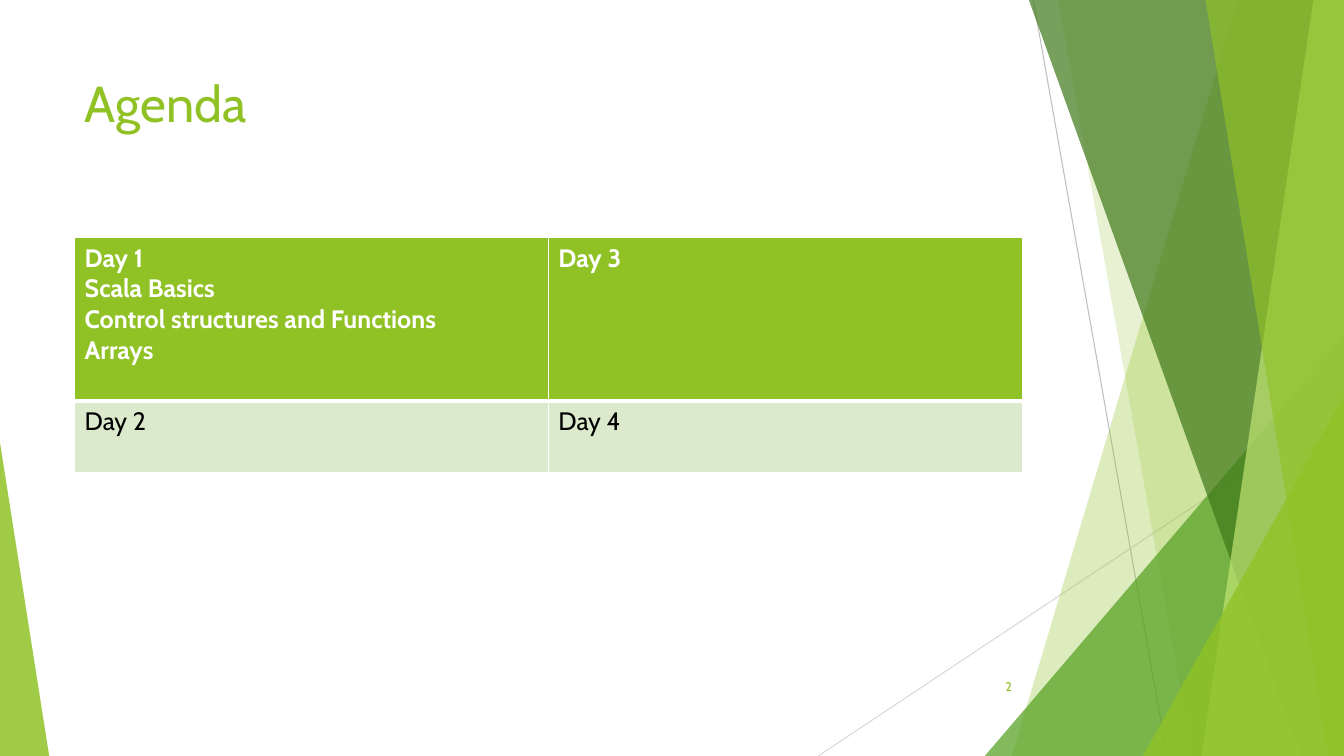
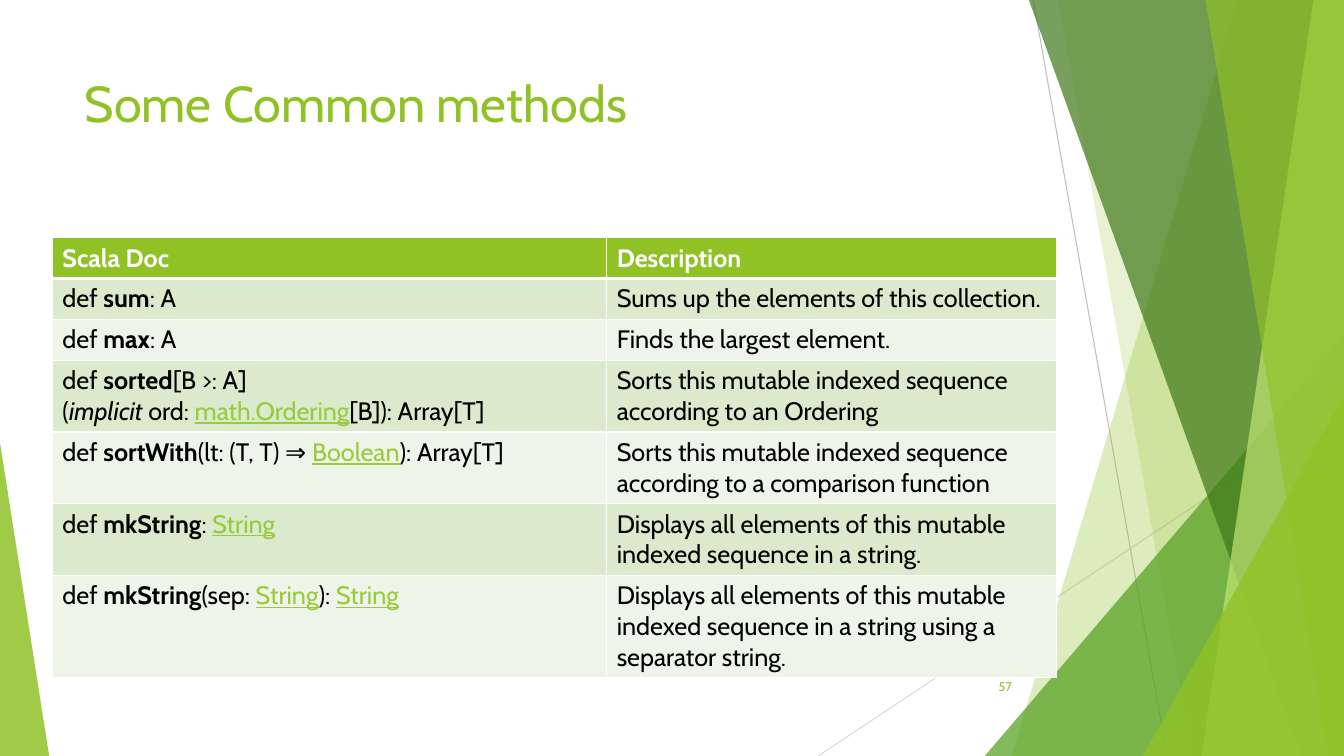
from dataclasses import dataclass

from lxml.etree import SubElement
from pptx import Presentation
from pptx.dml.color import RGBColor as Rgb
from pptx.enum.shapes import MSO_CONNECTOR as Connector, MSO_SHAPE as Preset
from pptx.enum.text import MSO_ANCHOR as Anchor, PP_ALIGN as Align
from pptx.oxml import parse_xml
from pptx.oxml.ns import nsdecls, qn
from pptx.util import Cm, Pt


@dataclass(frozen=True)
class Theme:
    font: str = "Cabin"
    lime: str = "90C226"
    green: str = "54A021"
    forest: str = "3F7819"
    pale_lime: str = "C0E474"
    link: str = "99CA3C"
    white: str = "FFFFFF"
    black: str = "000000"
    dark_band: str = "DBE9CD"
    light_band: str = "EEF4E8"
    steep_rule: str = "BFBFBF"
    flat_rule: str = "D9D9D9"
    title_size: int = 36
    body_size: int = 18
    number_size: int = 9
    rule_width: float = 0.75
    border_width: int = 1
    header_border_width: int = 3


THEME = Theme()
SLIDE_WIDTH, SLIDE_HEIGHT = 33.87, 19.05
TITLE_ONLY = 5
TABLE_TOP = 5.99
CELL_PADDING, LINE_HEIGHT = 0.26, 0.77
PLAIN, BOLD, ITALIC, LINK, BREAK = "plain", "bold", "italic", "link", "break"

AGENDA = [
    (5, ["Day 1", "Scala Basics", "Control structures and Functions", "Arrays"], ["Day 3"]),
    (2, ["Day 2"], ["Day 4"]),
]

METHODS = [
    (1, ["Scala Doc"], ["Description"]),
    (1, [[("def ", PLAIN), ("sum", BOLD), (": A", PLAIN)]],
     ["Sums up the elements of this collection."]),
    (1, [[("def ", PLAIN), ("max", BOLD), (": A", PLAIN)]],
     ["Finds the largest element."]),
    (2, [[("def ", PLAIN), ("sorted", BOLD), ("[B >: A]", PLAIN), ("", BREAK),
          ("(", PLAIN), ("implicit ", ITALIC), ("ord: ", PLAIN),
          ("math.Ordering", LINK), ("[B]): Array[T]", PLAIN)]],
     ["Sorts this mutable indexed sequence according to an Ordering"]),
    (2, [[("def ", PLAIN), ("sortWith", BOLD), ("(lt: (T, T) ⇒ ", PLAIN),
          ("Boolean", LINK), ("): Array[T]", PLAIN)]],
     ["Sorts this mutable indexed sequence according to a comparison function"]),
    (2, [[("def ", PLAIN), ("mkString", BOLD), (": ", PLAIN), ("String", LINK)]],
     ["Displays all elements of this mutable indexed sequence in a string."]),
    (3, [[("def ", PLAIN), ("mkString", BOLD), ("(sep: ", PLAIN), ("String", LINK),
          ("): ", PLAIN), ("String", LINK)]],
     ["Displays all elements of this mutable indexed sequence in a string "
      "using a separator string."]),
]


def color(code):
    return Rgb.from_string(code)


def add_run(paragraph, text, size, code, style=PLAIN):
    run = paragraph.add_run()
    run.text = text
    font = run.font
    font.name, font.size = THEME.font, Pt(size)
    font.bold, font.italic, font.underline = style == BOLD, style == ITALIC, style == LINK
    font.color.rgb = color(THEME.link if style == LINK else code)


def paint(shape, code, opacity):
    shape.shadow.inherit = False
    shape.line.fill.background()
    shape.fill.solid()
    shape.fill.fore_color.rgb = color(code)
    tint = shape.element.spPr.find(qn("a:solidFill"))[0]
    SubElement(tint, qn("a:alpha"), val=str(opacity * 1000))


def add_rule(shapes, start, end, code):
    rule = shapes.add_connector(Connector.STRAIGHT, *map(Cm, start + end))
    rule.line.color.rgb = color(code)
    rule.line.width = Pt(THEME.rule_width)
    SubElement(rule.element.spPr, qn("a:effectLst"))


def add_band(shapes, top_x, bottom_x, code, opacity):
    outline = shapes.build_freeform(Cm(top_x), 0)
    corners = [(SLIDE_WIDTH, 0), (SLIDE_WIDTH, SLIDE_HEIGHT), (bottom_x, SLIDE_HEIGHT)]
    outline.add_line_segments([(Cm(x), Cm(y)) for x, y in corners], close=True)
    paint(outline.convert_to_shape(), code, opacity)


def add_wedge(shapes, left, top, right, apex, code, opacity):
    wedge = shapes.add_shape(Preset.ISOSCELES_TRIANGLE, Cm(left), Cm(top),
                             Cm(right - left), Cm(SLIDE_HEIGHT - top))
    wedge.adjustments[0] = apex
    paint(wedge, code, opacity)


def decorate_layout(layout, slide):
    facets = slide.shapes.add_group_shape()
    shapes = facets.shapes
    add_rule(shapes, (26.04, 0), (29.41, SLIDE_HEIGHT), THEME.steep_rule)
    add_rule(shapes, (SLIDE_WIDTH, 10.24), (20.62, SLIDE_HEIGHT), THEME.flat_rule)
    add_band(shapes, 31.19, 25.5, THEME.lime, 30)
    add_band(shapes, 26.67, 30.05, THEME.lime, 20)
    add_wedge(shapes, 24.82, 8.46, SLIDE_WIDTH, 1, THEME.green, 72)
    add_band(shapes, 25.93, 32.79, THEME.forest, 70)
    add_band(shapes, 33.1, 30.28, THEME.pale_lime, 70)
    add_band(shapes, 30.38, 33.48, THEME.lime, 65)
    add_wedge(shapes, 28.8, 9.98, SLIDE_WIDTH, 1, THEME.lime, 80)
    add_wedge(shapes, 0, 11.15, 1.24, 0, THEME.lime, 85)
    layout.shapes.element.insert(2, facets.element)


def set_title(slide, text):
    title = slide.shapes.title
    title.left, title.top, title.width, title.height = map(Cm, (1.88, 1.7, 23.88, 3.66))
    frame = title.text_frame
    frame.word_wrap = True
    frame.vertical_anchor = Anchor.TOP
    heading = frame.paragraphs[0]
    heading.alignment = Align.LEFT
    add_run(heading, text, THEME.title_size, THEME.lime)


def add_slide_number(slide, number):
    frame = slide.shapes.add_textbox(*map(Cm, (23.85, 16.79, 1.9, 1.02))).text_frame
    frame.word_wrap = True
    frame.vertical_anchor = Anchor.MIDDLE
    footer = frame.paragraphs[0]
    footer.alignment = Align.RIGHT
    add_run(footer, str(number), THEME.number_size, THEME.lime)


def set_borders(cell, top, bottom):
    side = THEME.border_width
    properties = cell._tc.get_or_add_tcPr()
    for position, (edge, width) in enumerate(zip("LRTB", (side, side, top, bottom))):
        properties.insert(position, parse_xml(
            f'<a:ln{edge} {nsdecls("a")} w="{Pt(width)}"><a:solidFill>'
            f'<a:srgbClr val="{THEME.white}"/></a:solidFill></a:ln{edge}>'))


def fill_cell(cell, paragraphs, row):
    is_header = row == 0
    band = THEME.dark_band if row % 2 else THEME.light_band
    cell.fill.solid()
    cell.fill.fore_color.rgb = color(THEME.lime if is_header else band)
    set_borders(cell,
                THEME.header_border_width if row == 1 else THEME.border_width,
                THEME.header_border_width if is_header else THEME.border_width)
    text_color = THEME.white if is_header else THEME.black
    base_style = BOLD if is_header else PLAIN
    frame = cell.text_frame
    for index, content in enumerate(paragraphs):
        paragraph = frame.add_paragraph() if index else frame.paragraphs[0]
        runs = [(content, base_style)] if isinstance(content, str) else content
        for text, style in runs:
            if style == BREAK:
                paragraph.add_line_break()
            else:
                add_run(paragraph, text, THEME.body_size, text_color, style)


def add_grid(slide, left, column_widths, rows):
    heights = [CELL_PADDING + LINE_HEIGHT * lines for lines, *_ in rows]
    grid = slide.shapes.add_table(len(rows), len(column_widths), Cm(left), Cm(TABLE_TOP),
                                  Cm(sum(column_widths)), Cm(sum(heights))).table
    for column, width in zip(grid.columns, column_widths):
        column.width = Cm(width)
    for row, (height, (_, *cells)) in enumerate(zip(heights, rows)):
        grid.rows[row].height = Cm(height)
        for column, paragraphs in enumerate(cells):
            fill_cell(grid.cell(row, column), paragraphs, row)


def add_table_slide(deck, title, number, left, column_widths, rows):
    slide = deck.slides.add_slide(deck.slide_layouts[TITLE_ONLY])
    set_title(slide, title)
    add_grid(slide, left, column_widths, rows)
    add_slide_number(slide, number)
    return slide


def main():
    deck = Presentation()
    deck.slide_width, deck.slide_height = Cm(SLIDE_WIDTH), Cm(SLIDE_HEIGHT)
    agenda = add_table_slide(deck, "Agenda", 2, 1.88, (11.94, 11.94), AGENDA)
    add_table_slide(deck, "Some Common methods", 57, 1.32, (13.97, 11.33), METHODS)
    decorate_layout(deck.slide_layouts[TITLE_ONLY], agenda)
    deck.save("out.pptx")


if __name__ == "__main__":
    main()
